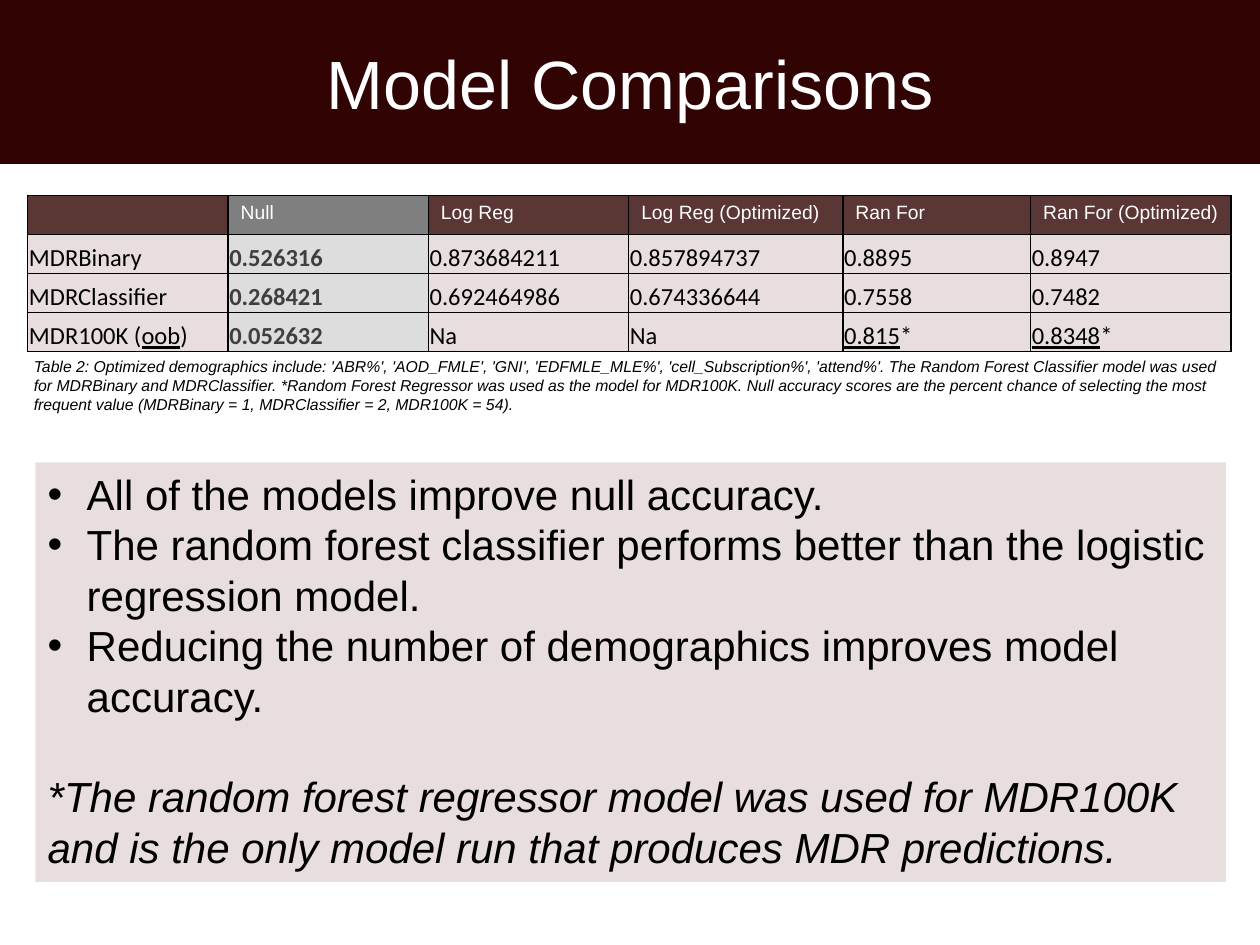
from lxml import etree
from pptx import Presentation
from pptx import util as u
from pptx.dml.color import RGBColor
from pptx.enum import shapes, text
from pptx.oxml.ns import qn

COLORS = {
    "banner": "310403", "header": "5A3635", "null_header": "7F7F7F",
    "cell": "E9DEDE", "null_cell": "DDDDDD", "null_text": "3F3F3F",
    "panel": "631818", "white": "FFFFFF", "black": "000000",
}
COLUMN_WIDTHS = [1.59, 1.59, 1.59, 1.7, 1.49, 1.59]
ROW_HEIGHT = 0.31
NULL_COLUMN = 1
# Underscores enclose underlined words.
SCORES = [
    ["", "Null", "Log Reg", "Log Reg (Optimized)", "Ran For", "Ran For (Optimized)"],
    ["MDRBinary", "0.526316", "0.873684211", "0.857894737", "0.8895", "0.8947"],
    ["MDRClassifier", "0.268421", "0.692464986", "0.674336644", "0.7558", "0.7482"],
    ["MDR100K (_oob_)", "0.052632", "Na", "Na", "_0.815_*", "_0.8348_*"],
]
CAPTION = (
    "Table 2: Optimized demographics include: 'ABR%', 'AOD_FMLE', 'GNI', "
    "'EDFMLE_MLE%', 'cell_Subscription%', 'attend%'. The Random Forest Classifier "
    "model was used for MDRBinary and MDRClassifier. *Random Forest Regressor was "
    "used as the model for MDR100K. Null accuracy scores are the percent chance of "
    "selecting the most frequent value (MDRBinary = 1, MDRClassifier = 2, MDR100K = 54)."
)
FINDINGS = [
    "All of the models improve null accuracy.",
    "The random forest classifier performs better than the logistic regression model.",
    "Reducing the number of demographics improves model accuracy.",
]
FOOTNOTE = (
    "*The random forest regressor model was used for MDR100K and is the only "
    "model run that produces MDR predictions."
)


def rgb(name):
    return RGBColor.from_string(COLORS[name])


def set_attributes(target, values):
    for name, value in values.items():
        setattr(target, name, value)


def set_fill(target, color):
    target.fill.solid()
    target.fill.fore_color.rgb = rgb(color)


def place(shape, left, top, width, height):
    lengths = {"left": left, "top": top, "width": width, "height": height}
    set_attributes(shape, {name: u.Inches(value) for name, value in lengths.items()})


def add_run(paragraph, words, size, color="black", name="Arial", **formats):
    run = paragraph.add_run()
    run.text = words
    set_attributes(run.font, {"size": u.Pt(size), "name": name, **formats})
    run.font.color.rgb = rgb(color)


def add_bullet(paragraph, indent=0.31):
    properties = paragraph._p.get_or_add_pPr()
    properties.set("marL", str(u.Inches(indent)))
    properties.set("indent", str(-u.Inches(indent)))
    etree.SubElement(properties, qn("a:buFont")).set("typeface", "Arial")
    etree.SubElement(properties, qn("a:buChar")).set("char", "•")


def add_rectangle(slide, color, *box):
    shape = slide.shapes.add_shape(
        shapes.MSO_SHAPE.RECTANGLE, *(u.Inches(length) for length in box))
    shape.shadow.inherit = False
    set_fill(shape, color)
    shape.line.fill.background()
    set_attributes(shape.text_frame, {
        "word_wrap": True, "vertical_anchor": text.MSO_ANCHOR.TOP})
    return shape


def add_paragraph(frame, is_first=False):
    paragraph = frame.paragraphs[0] if is_first else frame.add_paragraph()
    paragraph.alignment = text.PP_ALIGN.LEFT
    return paragraph


def add_title(slide):
    title = slide.shapes.title
    place(title, 0, 0, 10, 1.3)
    set_fill(title, "banner")
    set_attributes(title.text_frame, {
        "vertical_anchor": text.MSO_ANCHOR.MIDDLE,
        "auto_size": text.MSO_AUTO_SIZE.NONE, "word_wrap": True})
    paragraph = title.text_frame.paragraphs[0]
    paragraph.alignment = text.PP_ALIGN.CENTER
    add_run(paragraph, "Model Comparisons", 39, "white")


def add_caption(slide):
    caption = add_rectangle(slide, "white", 0.17, 2.78, 9.61, 0.56)
    add_run(add_paragraph(caption.text_frame, True), CAPTION, 9, italic=True)


def add_findings(slide):
    panel = add_rectangle(slide, "panel", 0.28, 3.67, 9.45, 3.33)
    color = panel.fill._xPr.find(qn("a:solidFill"))[0]
    etree.SubElement(color, qn("a:alpha")).set("val", "14000")
    for index, finding in enumerate(FINDINGS):
        paragraph = add_paragraph(panel.text_frame, index == 0)
        add_bullet(paragraph)
        add_run(paragraph, finding, 24)
    paragraph = add_paragraph(panel.text_frame)
    paragraph.space_before = u.Pt(28.8)
    add_run(paragraph, FOOTNOTE, 24, italic=True)


def set_borders(cell):
    properties = cell._tc.get_or_add_tcPr()
    for position, side in enumerate(("a:lnL", "a:lnR", "a:lnT", "a:lnB")):
        line = etree.Element(qn(side), w=str(u.Pt(1)))
        fill = etree.SubElement(line, qn("a:solidFill"))
        etree.SubElement(fill, qn("a:srgbClr")).set("val", COLORS["black"])
        properties.insert(position, line)


def fill_header_cell(cell, words, is_null):
    set_fill(cell, "null_header" if is_null else "header")
    if words:
        add_run(cell.text_frame.paragraphs[0], words, 11, "white", bold=False)
    else:
        # The default text height would stretch the row.
        set_attributes(cell, {"margin_top": 0, "margin_bottom": 0})


def fill_score_cell(cell, words, is_null):
    set_fill(cell, "null_cell" if is_null else "cell")
    set_attributes(cell, {
        "vertical_anchor": text.MSO_ANCHOR.BOTTOM, "margin_bottom": 0,
        **dict.fromkeys(("margin_left", "margin_right", "margin_top"), u.Inches(0.01))})
    for index, part in enumerate(words.split("_")):
        if part:
            add_run(cell.text_frame.paragraphs[0], part, 14,
                    "null_text" if is_null else "black", "Calibri",
                    bold=is_null, underline=index % 2 == 1)


def add_score_table(slide):
    table = slide.shapes.add_table(
        len(SCORES), len(COLUMN_WIDTHS), u.Inches(0.22), u.Inches(1.55),
        u.Inches(sum(COLUMN_WIDTHS)), u.Inches(ROW_HEIGHT * len(SCORES))).table
    table.horz_banding = False
    for column, width in zip(table.columns, COLUMN_WIDTHS):
        column.width = u.Inches(width)
    for row_index, row in enumerate(SCORES):
        fill_cell = fill_score_cell if row_index else fill_header_cell
        for column_index, words in enumerate(row):
            cell = table.cell(row_index, column_index)
            fill_cell(cell, words, column_index == NULL_COLUMN)
            set_borders(cell)


def main():
    presentation = Presentation()
    set_attributes(presentation, {
        "slide_width": u.Inches(10), "slide_height": u.Inches(7.5)})
    slide = presentation.slides.add_slide(presentation.slide_layouts[5])
    add_title(slide)
    add_caption(slide)
    add_findings(slide)
    add_score_table(slide)
    presentation.save("out.pptx")


if __name__ == "__main__":
    main()
